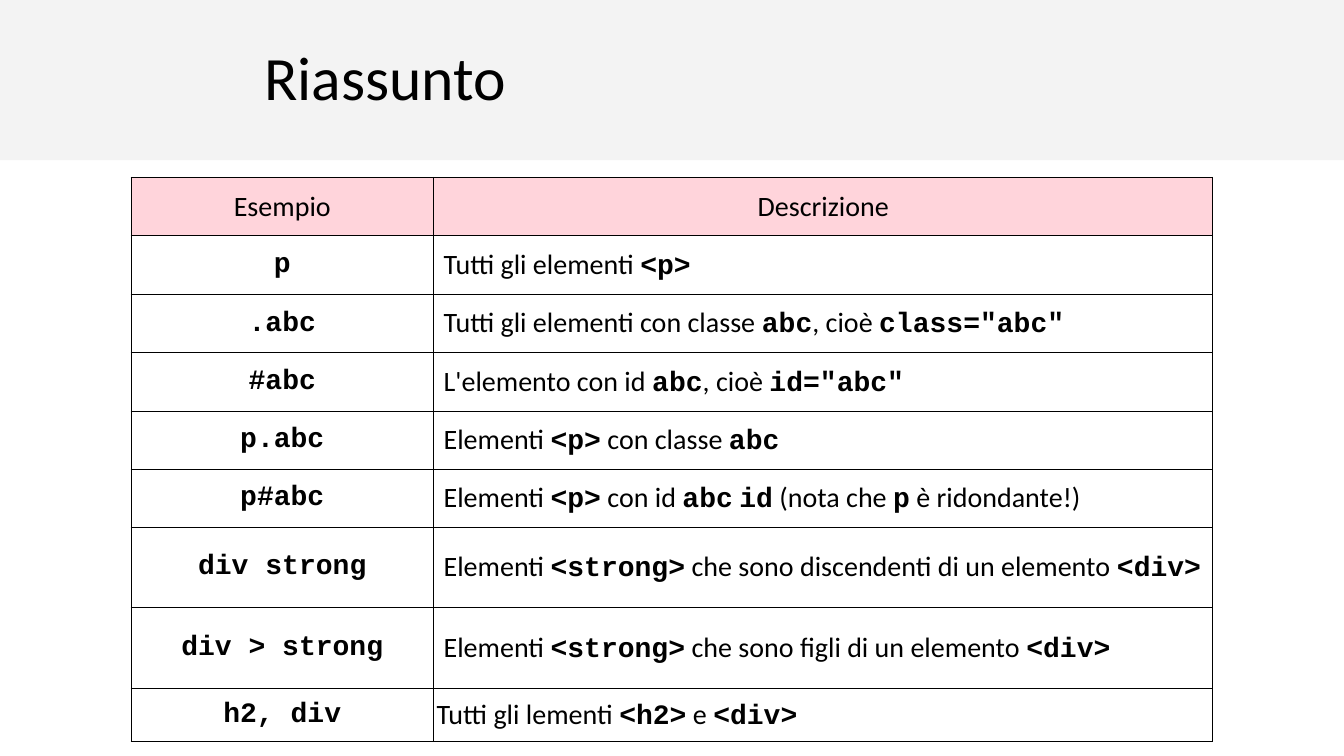
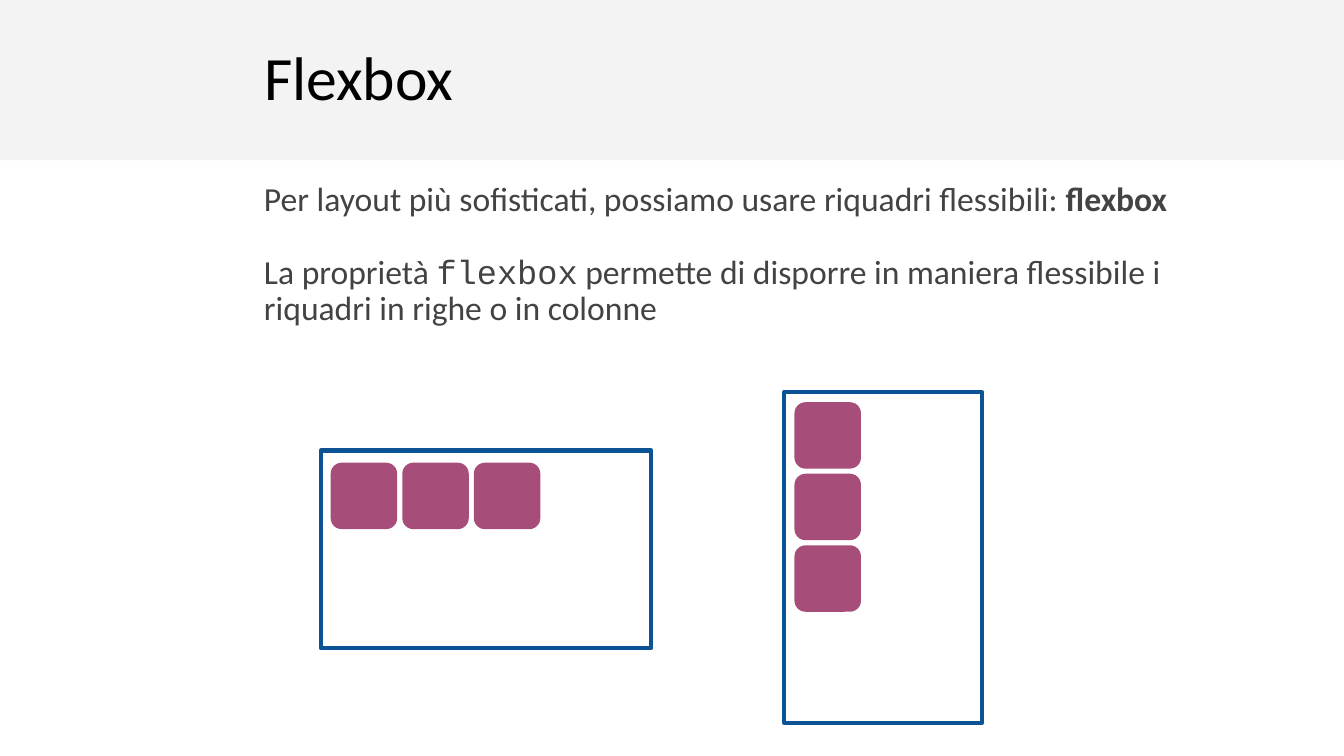
from dataclasses import dataclass

from lxml.etree import SubElement
from pptx import Presentation
from pptx.dml.color import RGBColor
from pptx.enum.shapes import MSO_SHAPE
from pptx.enum.text import MSO_ANCHOR, PP_ALIGN
from pptx.oxml.ns import qn
from pptx.util import Inches, Pt


@dataclass(frozen=True)
class Theme:
    band: str = "F3F3F3"
    ink: str = "000000"
    body_ink: str = "434343"
    header: str = "FFD4DB"
    white: str = "FFFFFF"
    frame: str = "0B5394"
    item: str = "A64D79"
    text_font: str = "Calibri"
    code_font: str = "Courier New"
    title_size: int = 44
    body_size: int = 24
    table_size: int = 20
    border: float = 0.75
    frame_line: float = 3
    line_spacing: float = 0.9


THEME = Theme()
SLIDE_WIDTH, SLIDE_HEIGHT = 13.33, 7.5

SELECTORS = [
    ("p", "Tutti gli elementi `<p>`"),
    (".abc", 'Tutti gli elementi con classe `abc`, cioè `class="abc"`'),
    ("#abc", "L'elemento con id `abc`, cioè `id=\"abc\"`"),
    ("p.abc", "Elementi `<p>` con classe `abc`"),
    ("p#abc", "Elementi `<p>` con id `abc` `id` (nota che `p` è ridondante!)"),
    ("div strong", "Elementi `<strong>` che sono discendenti di un elemento `<div>`"),
    ("div > strong", "Elementi `<strong>` che sono figli di un elemento `<div>`"),
    ("h2, div", "Tutti gli lementi `<h2>` e `<div>`"),
]
ROW_HEIGHTS = [0.58] * 5 + [0.57, 0.8, 0.8, 0.53]

FLEXBOX_TEXT = [
    [
        ("Per layout più sofisticati, possiamo usare riquadri flessibili: ", THEME.text_font, False),
        ("flexbox", THEME.text_font, True),
    ],
    [
        ("La proprietà ", THEME.text_font, False),
        ("flexbox", THEME.code_font, False),
        (" permette di disporre in maniera flessibile i riquadri in righe o in colonne",
         THEME.text_font, False),
    ],
]


def rgb(value):
    return RGBColor.from_string(value)


def write_spans(para, spans, size, color):
    for text, font, bold in spans:
        span = para.add_run()
        span.text = text
        span.font.name = font
        span.font.size = Pt(size)
        span.font.bold = bold
        span.font.color.rgb = rgb(color)


def code_spans(text):
    return [
        (part, THEME.code_font if index % 2 else THEME.text_font, bool(index % 2))
        for index, part in enumerate(text.split("`"))
        if part
    ]


def add_block(page, kind, left, top, width, height, fill, line=None):
    block = page.shapes.add_shape(
        kind, Inches(left), Inches(top), Inches(width), Inches(height))
    block.shadow.inherit = False
    block.fill.solid()
    block.fill.fore_color.rgb = rgb(fill)
    if line:
        block.line.color.rgb = rgb(line)
        block.line.width = Pt(THEME.frame_line)
    else:
        block.line.fill.background()
    return block


def add_text(page, left, top, width, height, paragraphs, size, color, anchor):
    box = page.shapes.add_textbox(
        Inches(left), Inches(top), Inches(width), Inches(height))
    frame = box.text_frame
    frame.word_wrap = True
    frame.vertical_anchor = anchor
    frame.margin_left = frame.margin_right = Inches(0.1)
    frame.margin_top = frame.margin_bottom = Inches(0.1)
    for index, spans in enumerate(paragraphs):
        para = frame.add_paragraph() if index else frame.paragraphs[0]
        para.line_spacing = THEME.line_spacing
        if index:
            para.space_before = Pt(26)
        write_spans(para, spans, size, color)


def add_page(deck, title):
    page = deck.slides.add_slide(deck.slide_layouts[6])
    add_block(page, MSO_SHAPE.RECTANGLE, 0, 0, SLIDE_WIDTH, 1.59, THEME.band)
    add_text(page, 2.52, 0.38, 8.29, 0.83, [[(title, THEME.text_font, False)]],
             THEME.title_size, THEME.ink, MSO_ANCHOR.MIDDLE)
    return page


def add_borders(cell):
    properties = cell._tc.get_or_add_tcPr()
    for side in ("a:lnL", "a:lnR", "a:lnT", "a:lnB"):
        line = SubElement(properties, qn(side), w=str(Pt(THEME.border)))
        fill = SubElement(line, qn("a:solidFill"))
        SubElement(fill, qn("a:srgbClr"), val=THEME.ink)


def fill_cell(cell, text, centred, fill=None, indent=0.03):
    cell.vertical_anchor = MSO_ANCHOR.MIDDLE
    cell.margin_right = cell.margin_top = cell.margin_bottom = Inches(0.03)
    cell.margin_left = Inches(indent)
    add_borders(cell)
    if fill:
        cell.fill.solid()
        cell.fill.fore_color.rgb = rgb(fill)
    else:
        cell.fill.background()
    para = cell.text_frame.paragraphs[0]
    para.alignment = PP_ALIGN.CENTER if centred else PP_ALIGN.LEFT
    write_spans(para, code_spans(text), THEME.table_size, THEME.ink)


def add_selector_table(page, left, top, column_widths):
    table = page.shapes.add_table(
        len(ROW_HEIGHTS), len(column_widths), Inches(left), Inches(top),
        Inches(sum(column_widths)), Inches(sum(ROW_HEIGHTS))).table
    table.horz_banding = False
    for column, width in zip(table.columns, column_widths):
        column.width = Inches(width)
    for row, height in zip(table.rows, ROW_HEIGHTS):
        row.height = Inches(height)
    for column, heading in enumerate(("Esempio", "Descrizione")):
        fill_cell(table.cell(0, column), heading, True, THEME.header)
    for row, (selector, description) in enumerate(SELECTORS, start=1):
        fill_cell(table.cell(row, 0), f"`{selector}`", True)
        indent = 0.03 if row == len(SELECTORS) else 0.1
        fill_cell(table.cell(row, 1), description, False, indent=indent)


def add_flex_container(page, left, top, width, height, inset, step_x, step_y):
    add_block(page, MSO_SHAPE.RECTANGLE, left, top, width, height,
              THEME.white, THEME.frame)
    for index in range(3):
        add_block(page, MSO_SHAPE.ROUNDED_RECTANGLE,
                  left + 0.1 + index * step_x, top + inset + index * step_y,
                  0.66, 0.66, THEME.item)


def build_summary(deck):
    page = add_page(deck, "Riassunto")
    add_selector_table(page, 1.3, 1.76, (3, 7.73))


def build_flexbox(deck):
    page = add_page(deck, "Flexbox")
    add_text(page, 2.52, 1.71, 9.66, 2.18, FLEXBOX_TEXT,
             THEME.body_size, THEME.body_ink, MSO_ANCHOR.TOP)
    long_side, short_side, step = 3.28, 1.96, 0.71
    add_flex_container(page, 7.78, 3.89, short_side, long_side, 0.1, 0, step)
    add_flex_container(page, 3.18, 4.47, long_side, short_side, 0.12, step, 0)


def main():
    deck = Presentation()
    deck.slide_width = Inches(SLIDE_WIDTH)
    deck.slide_height = Inches(SLIDE_HEIGHT)
    build_summary(deck)
    build_flexbox(deck)
    deck.save("out.pptx")


if __name__ == "__main__":
    main()
